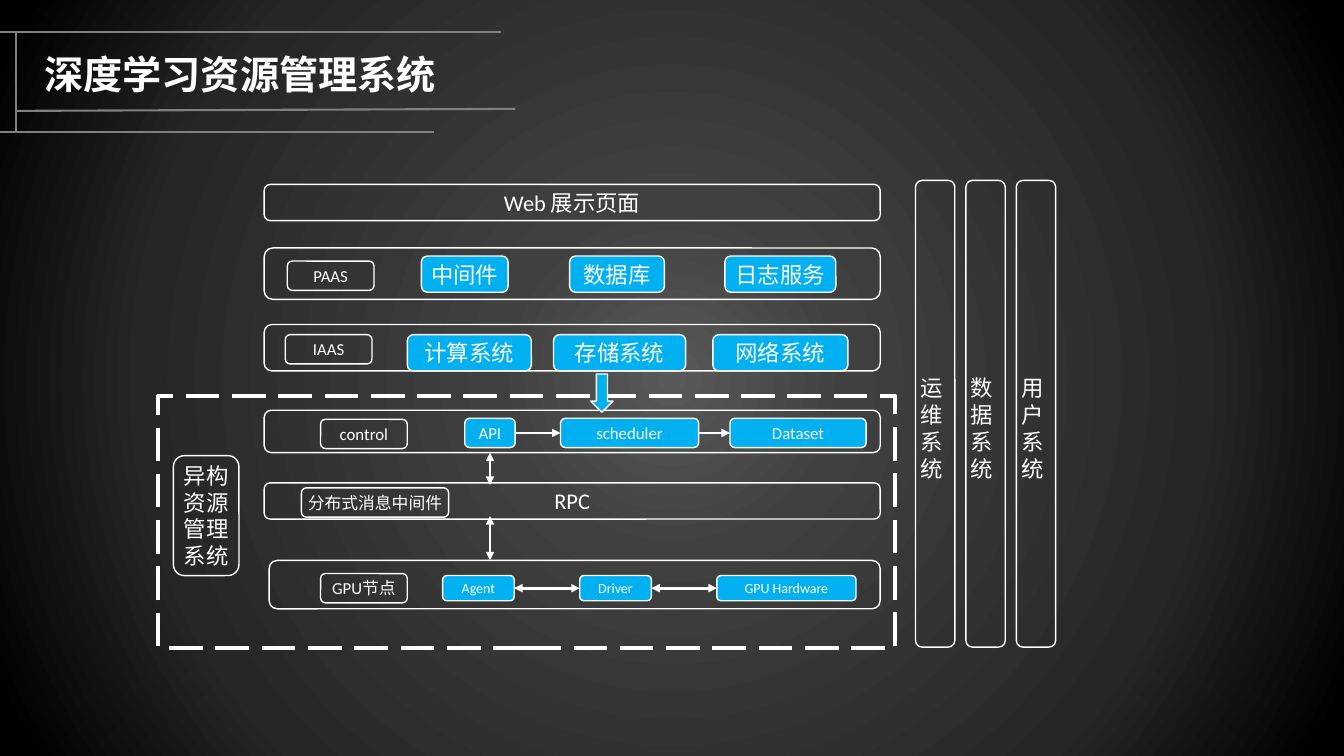
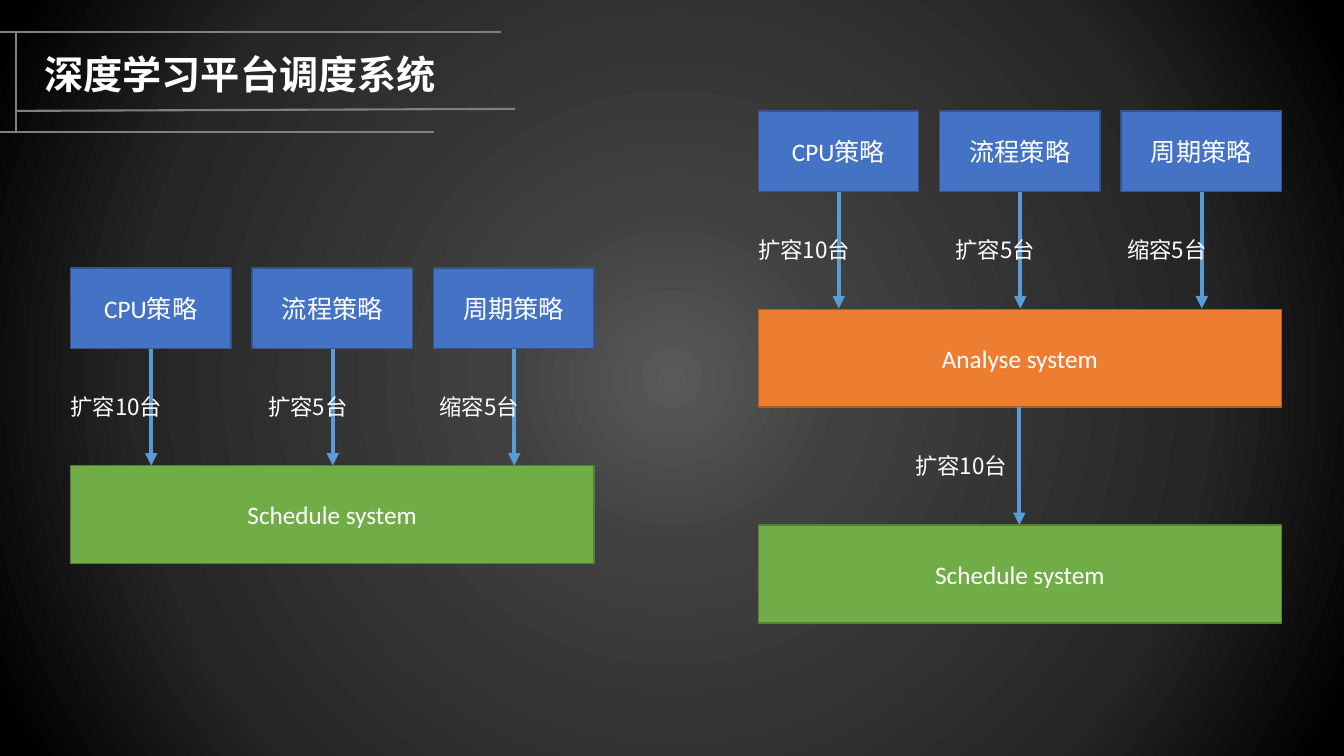
from lxml.etree import SubElement
from pptx import Presentation
from pptx.dml.color import RGBColor
from pptx.enum.dml import MSO_LINE
from pptx.enum.shapes import MSO_CONNECTOR, MSO_SHAPE
from pptx.enum.text import MSO_ANCHOR, MSO_AUTO_SIZE, PP_ALIGN
from pptx.oxml.ns import qn
from pptx.util import Inches, Pt

WHITE = RGBColor(0xFF, 0xFF, 0xFF)
RULE_GREY = RGBColor(0x80, 0x80, 0x80)
CYAN = RGBColor(0x00, 0xB0, 0xF0)
BLUE = RGBColor(0x44, 0x72, 0xC4)
BLUE_EDGE = RGBColor(0x32, 0x54, 0x91)
GREEN = RGBColor(0x70, 0xAD, 0x47)
GREEN_EDGE = RGBColor(0x53, 0x80, 0x35)
ORANGE = RGBColor(0xED, 0x7D, 0x31)
ORANGE_EDGE = RGBColor(0xAF, 0x5C, 0x24)
ARROW_BLUE = RGBColor(0x5B, 0x9B, 0xD5)
BACKDROP = [
    (0, RGBColor(0x59, 0x59, 0x59)),
    (23, RGBColor(0x40, 0x40, 0x40)),
    (69, RGBColor(0x26, 0x26, 0x26)),
    (97, RGBColor(0x00, 0x00, 0x00)),
]
TITLE_RULES = [
    (0, 0.32, 4.97, 0.32),
    (0, 1.31, 4.3, 1.31),
    (0.16, 1.1, 5.11, 1.08),
    (0.16, 0.32, 0.16, 1.31),
]
LATIN = "Calibri"
CHINESE = "Noto Sans CJK SC"


class Deck:
    def __init__(self):
        self.prs = Presentation()
        self.prs.slide_width = Inches(13.33)
        self.prs.slide_height = Inches(7.5)
        self.slide = None
        self.paint_backdrop()

    def paint_backdrop(self):
        master = self.prs.slide_master
        master.background.fill.gradient()
        gradient = next(master.element.iter(qn("a:gradFill")))
        for child in list(gradient):
            gradient.remove(child)
        stops = SubElement(gradient, qn("a:gsLst"))
        for percent, color in BACKDROP:
            stop = SubElement(stops, qn("a:gs"), pos=str(percent * 1000))
            SubElement(stop, qn("a:srgbClr"), val=str(color))
        circle = SubElement(gradient, qn("a:path"), path="circle")
        SubElement(circle, qn("a:fillToRect"),
                   l="50000", t="50000", r="50000", b="50000")

    def new_slide(self, title):
        self.slide = self.prs.slides.add_slide(self.prs.slide_layouts[5])
        for ends in TITLE_RULES:
            self.line(*ends, RULE_GREY, 1.5)
        heading = self.slide.shapes.title
        heading.left, heading.top = Inches(0.34), Inches(0.45)
        heading.width, heading.height = Inches(4.13), Inches(0.57)
        self.set_text(heading.text_frame, title, 28, CHINESE,
                      PP_ALIGN.LEFT, bold=True)
        heading.text_frame.word_wrap = False

    def set_text(self, frame, text, size, font=LATIN, align=PP_ALIGN.CENTER,
                 anchor=MSO_ANCHOR.MIDDLE, bold=False):
        frame.text = text
        frame.word_wrap = True
        frame.auto_size = MSO_AUTO_SIZE.NONE
        frame.vertical_anchor = anchor
        for paragraph in frame.paragraphs:
            paragraph.alignment = align
            for run in paragraph.runs:
                run.font.size = Pt(size)
                run.font.bold = bold
                run.font.name = font
                run.font.color.rgb = WHITE
                SubElement(run._r.get_or_add_rPr(), qn("a:ea"),
                           typeface=CHINESE)

    def line(self, x1, y1, x2, y2, color, width, head=False, tail=False):
        connector = self.slide.shapes.add_connector(
            MSO_CONNECTOR.STRAIGHT,
            Inches(x1), Inches(y1), Inches(x2), Inches(y2))
        connector.line.color.rgb = color
        connector.line.width = Pt(width)
        properties = connector.element.spPr
        outline = properties.find(qn("a:ln"))
        for wanted, tag in ((head, "a:headEnd"), (tail, "a:tailEnd")):
            if wanted:
                SubElement(outline, qn(tag), type="triangle")
        SubElement(properties, qn("a:effectLst"))
        return connector

    def shape(self, kind, left, top, width, height,
              fill=None, edge=WHITE, edge_width=1):
        shape = self.slide.shapes.add_shape(
            kind, Inches(left), Inches(top), Inches(width), Inches(height))
        shape.shadow.inherit = False
        if fill is None:
            shape.fill.background()
        else:
            shape.fill.solid()
            shape.fill.fore_color.rgb = fill
        shape.line.color.rgb = edge
        shape.line.width = Pt(edge_width)
        return shape

    def pill(self, left, top, width, height, text="", size=12, fill=None,
             align=PP_ALIGN.CENTER):
        pill = self.shape(MSO_SHAPE.ROUNDED_RECTANGLE,
                          left, top, width, height, fill)
        frame = pill.text_frame
        frame.margin_left = frame.margin_right = Inches(0.03)
        frame.margin_top = frame.margin_bottom = Inches(0.03)
        if text:
            self.set_text(frame, text, size, align=align)
        return pill

    def pills(self, top, height, size, items):
        return [self.pill(left, top, width, height, text, size, CYAN)
                for left, width, text in items]

    def chain(self, steps, both_ways):
        for source, target in zip(steps, steps[1:]):
            link = self.line(0, 0, 1, 1, WHITE, 2, both_ways, True)
            link.begin_connect(source, 3)
            link.end_connect(target, 1)

    def tower(self, left, text):
        tower = self.pill(left, 1.79, 0.39, 4.63, text, 16,
                          align=PP_ALIGN.LEFT)
        tower.text_frame.margin_top = Inches(0.31)

    def block(self, left, top, width, height, text, fill, edge):
        block = self.shape(MSO_SHAPE.RECTANGLE,
                           left, top, width, height, fill, edge)
        self.set_text(block.text_frame, text, 18)

    def label(self, left, top, width, text):
        label = self.slide.shapes.add_textbox(
            Inches(left), Inches(top), Inches(width), Inches(0.37))
        self.set_text(label.text_frame, text, 16, CHINESE,
                      PP_ALIGN.LEFT, MSO_ANCHOR.TOP)

    def policies(self, left, top):
        policies = [
            ("CPU策略", "扩容10台", -0.1, 1.14),
            ("流程策略", "扩容5台", 1.86, 1.01),
            ("周期策略", "缩容5台", 3.56, 1.01),
        ]
        for column, (policy, request, offset, width) in enumerate(policies):
            x = left + column * 1.8
            self.block(x, top, 1.59, 0.8, policy, BLUE, BLUE_EDGE)
            self.line(x + 0.8, top + 0.8, x + 0.8, top + 1.96,
                      ARROW_BLUE, 3, tail=True)
            self.label(left + offset, top + 1.19, width, request)

    def system(self, left, top, text, fill, edge):
        self.block(left, top, 5.19, 0.97, text, fill, edge)


def build_resource_slide(deck):
    deck.new_slide("深度学习资源管理系统")

    deck.shape(MSO_SHAPE.RECTANGLE, 1.57, 3.93, 7.31, 2.5,
               edge_width=3).line.dash_style = MSO_LINE.LONG_DASH
    for top, height, text in [(1.83, 0.36, "Web 展示页面"), (2.46, 0.51, ""),
                              (3.22, 0.46, ""), (4.07, 0.42, ""),
                              (4.79, 0.36, "RPC")]:
        deck.pill(2.62, top, 6.11, height, text, 16)
    deck.pill(2.67, 5.56, 6.06, 0.48)
    deck.pill(1.72, 4.52, 0.65, 1.19, "异构资源管理系统", 16)

    for left, top, width, text in [(2.85, 2.59, 0.86, "PAAS"),
                                   (2.83, 3.32, 0.86, "IAAS"),
                                   (3.18, 4.16, 0.86, "control"),
                                   (2.99, 4.84, 1.46, "分布式消息中间件"),
                                   (3.18, 5.69, 0.86, "GPU节点")]:
        deck.pill(left, top, width, 0.29, text)

    deck.pills(2.54, 0.36, 16, [(4.18, 0.86, "中间件"),
                                (5.65, 0.94, "数据库"),
                                (7.19, 1.1, "日志服务")])
    deck.pills(3.32, 0.36, 16, [(4.04, 1.23, "计算系统"),
                                (5.49, 1.31, "存储系统"),
                                (7.07, 1.34, "网络系统")])
    control = deck.pills(4.15, 0.29, 12, [(4.61, 0.5, "API"),
                                          (5.56, 1.37, "scheduler"),
                                          (7.24, 1.35, "Dataset")])
    node = deck.pills(5.71, 0.25, 10, [(4.39, 0.71, "Agent"),
                                       (5.75, 0.71, "Driver"),
                                       (7.11, 1.38, "GPU Hardware")])
    deck.chain(control, both_ways=False)
    deck.chain(node, both_ways=True)
    for top, bottom in [(4.49, 4.81), (5.12, 5.56)]:
        deck.line(4.86, top, 4.86, bottom, WHITE, 2, head=True, tail=True)
    deck.shape(MSO_SHAPE.DOWN_ARROW, 5.86, 3.71, 0.22, 0.38, CYAN)

    for index, text in enumerate(["运维系统", "数据系统", "用户系统"]):
        deck.tower(9.08 + index * 0.5, text)


def build_schedule_slide(deck):
    deck.new_slide("深度学习平台调度系统")

    deck.policies(0.7, 2.66)
    deck.system(0.7, 4.62, "Schedule system", GREEN, GREEN_EDGE)

    deck.policies(7.52, 1.1)
    deck.system(7.52, 3.07, "Analyse system", ORANGE, ORANGE_EDGE)
    deck.line(10.11, 4.04, 10.11, 5.21, ARROW_BLUE, 3, tail=True)
    deck.label(8.98, 4.44, 1.14, "扩容10台")
    deck.system(7.52, 5.21, "Schedule system", GREEN, GREEN_EDGE)


def main():
    deck = Deck()
    build_resource_slide(deck)
    build_schedule_slide(deck)
    deck.prs.save("out.pptx")


if __name__ == "__main__":
    main()
